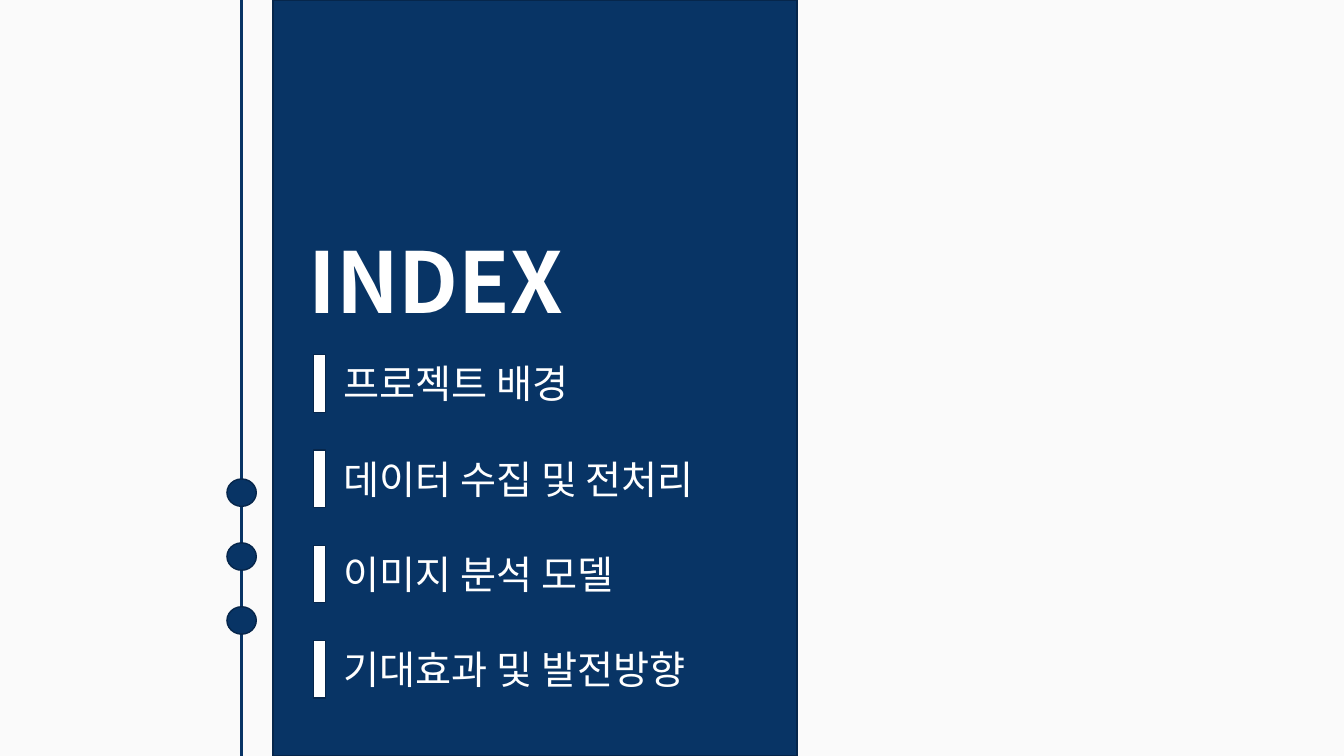
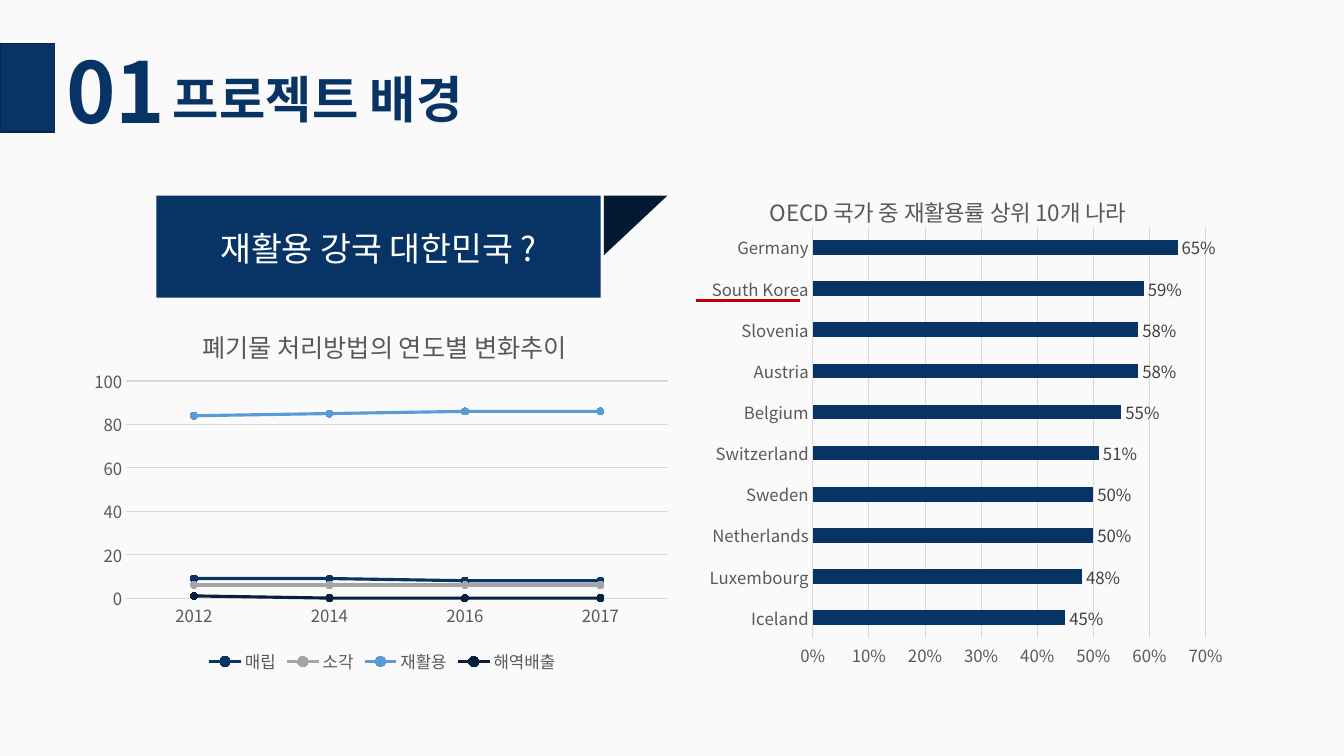
import pptx
import pptx.chart.data
import pptx.dml.color
import pptx.enum.chart
import pptx.enum.shapes
import pptx.enum.text
import pptx.oxml
import pptx.oxml.ns
import pptx.util
import lxml.etree

Cm = pptx.util.Cm
Pt = pptx.util.Pt
Rgb = pptx.dml.color.RGBColor.from_string
qn = pptx.oxml.ns.qn
Shape = pptx.enum.shapes.MSO_SHAPE
Chart = pptx.enum.chart
Align = pptx.enum.text.PP_ALIGN


class Theme:
    face = "Noto Sans CJK KR"
    page, white, navy, edge = "FAFAFA", "FFFFFF", "083465", "06264B"
    fold, red = "041A32", "C00000"
    gray, grid, label = "595959", "D9D9D9", "404040"
    lines = ["083465", "A5A5A5", "5B9BD5", "051F3D"]
    huge, head, item, lead = 60, 36, 28, 24
    trend, rank, small = 18, 16, 12


def style(font, size, color, bold=False):
    font.size, font.bold, font.name = Pt(size), bold, Theme.face
    font.color.rgb = Rgb(color)
    lxml.etree.SubElement(font._element, qn("a:ea")).set("typeface", Theme.face)


def block(shapes, kind, place, fill, edge=None):
    shape = shapes.add_shape(kind, *map(Cm, place))
    shape.shadow.inherit = False
    shape.fill.solid()
    shape.fill.fore_color.rgb = Rgb(fill)
    if edge:
        shape.line.color.rgb = Rgb(edge)
        shape.line.width = Pt(1)
    else:
        shape.line.fill.background()
    return shape


deck = pptx.Presentation()
deck.slide_width, deck.slide_height = Cm(33.87), Cm(19.05)
back = deck.slide_master.background.fill
back.solid()
back.fore_color.rgb = Rgb(Theme.page)
blank = deck.slide_layouts[6]
index = deck.slides.add_slide(blank).shapes
topic = deck.slides.add_slide(blank).shapes

block(index, Shape.RECTANGLE, (6.88, 0, 13.21, 19.05), Theme.navy, Theme.edge)
texts = [(index, (7.52, 5.66, 7.65, 2.82), "INDEX", Theme.huge, Theme.white, True, None)]
items = ["프로젝트 배경", "데이터 수집 및 전처리", "이미지 분석 모델", "기대효과 및 발전방향"]
for row, item in enumerate(items):
    top = 8.94 + 2.4 * row
    block(index, Shape.RECTANGLE, (7.9, top, 0.3, 1.45), Theme.white, Theme.edge)
    texts.append((index, (8.41, top, 11.1, 1.45), item, Theme.item, Theme.white, False, None))

rules = [
    (index, (6.08, 0, 6.08, 19.05), Theme.navy, 2),
    (topic, (17.53, 7.57, 20.17, 7.57), Theme.red, 2.25),
]

trend = pptx.chart.data.CategoryChartData()
trend.categories = ["2012", "2014", "2016", "2017"]
trend.add_series("매립", [9, 9, 8, 8])
trend.add_series("소각", [6, 6, 6, 6])
trend.add_series("재활용", [84, 85, 86, 86])
trend.add_series("해역배출", [1, 0, 0, 0])

rates = {
    "Iceland": 0.45, "Luxembourg": 0.48, "Netherlands": 0.5, "Sweden": 0.5,
    "Switzerland": 0.51, "Belgium": 0.55, "Austria": 0.58, "Slovenia": 0.58,
    "South Korea": 0.59, "Germany": 0.65,
}
rank = pptx.chart.data.CategoryChartData(number_format="0%")
rank.categories = list(rates)
rank.add_series("Series 1", list(rates.values()))

plans = [
    (Chart.XL_CHART_TYPE.LINE_MARKERS, (2.13, 7.49, 15.01, 9.6), trend,
     "폐기물 처리방법의 연도별 변화추이", Theme.trend, (0.19, 0.06),
     (0.07, 0.22, 0.91, 0.57), 100, 20, "General"),
    (Chart.XL_CHART_TYPE.BAR_CLUSTERED, (16.64, 4.22, 14.78, 13.64), rank,
     "OECD 국가 중 재활용률 상위 10개 나라", Theme.rank, (0.18, 0.04),
     (0.26, 0.11, 0.67, 0.76), 0.7, 0.1, "0%"),
]
charts = []
for kind, place, data, title, size, spot, plot, most, step, form in plans:
    chart = topic.add_chart(kind, *map(Cm, place), data).chart
    charts.append(chart)
    style(chart.font, Theme.small, Theme.gray)
    chart.has_legend = False
    chart.has_title = True
    para = chart.chart_title.text_frame.paragraphs[0]
    para.text = title
    style(para.font, size, Theme.gray)

    cats, vals = chart.category_axis, chart.value_axis
    for axis in (cats, vals):
        axis.major_tick_mark = axis.minor_tick_mark = Chart.XL_TICK_MARK.NONE
        style(axis.tick_labels.font, Theme.small, Theme.gray)
    cats.format.line.color.rgb = Rgb(Theme.grid)
    cats.format.line.width = Pt(0.75)
    vals.format.line.fill.background()
    vals.minimum_scale, vals.maximum_scale, vals.major_unit = 0, most, step
    vals.tick_labels.number_format = form
    vals.tick_labels.number_format_is_linked = False
    vals.has_major_gridlines = True
    vals.major_gridlines.format.line.color.rgb = Rgb(Theme.grid)
    vals.major_gridlines.format.line.width = Pt(0.75)
    chart.plots[0].vary_by_categories = False

    frame = chart._chartSpace.chart
    for node, slot, sizes in ((frame.find(qn("c:title")), 1, spot), (frame.plotArea, 0, plot)):
        for old in node.findall(qn("c:layout")):
            node.remove(old)
        layout = lxml.etree.Element(qn("c:layout"))
        node.insert(slot, layout)
        manual = lxml.etree.SubElement(layout, qn("c:manualLayout"))
        marks = [("xMode", "edge"), ("yMode", "edge")]
        if node is frame.plotArea:
            marks.insert(0, ("layoutTarget", "inner"))
        for tag, value in marks + list(zip("xywh", sizes)):
            lxml.etree.SubElement(manual, qn("c:" + tag)).set("val", str(value))

lines, bars = charts
lines.has_legend = True
lines.legend.position = Chart.XL_LEGEND_POSITION.BOTTOM
lines.legend.include_in_layout = False
style(lines.legend.font, Theme.small, Theme.gray)
for line, color in zip(lines.plots[0].series, Theme.lines):
    line.smooth = False
    line.format.line.color.rgb = Rgb(color)
    line.format.line.width = Pt(2.25)
    line.marker.style = Chart.XL_MARKER_STYLE.CIRCLE
    line.marker.size = 5
    line.marker.format.fill.solid()
    line.marker.format.fill.fore_color.rgb = Rgb(color)
    line.marker.format.line.color.rgb = Rgb(color)

plot = bars.plots[0]
plot.gap_width = 182
fill = plot.series[0].format.fill
fill.solid()
fill.fore_color.rgb = Rgb(Theme.navy)
plot.has_data_labels = True
labels = plot.data_labels
labels.show_value = True
labels.position = Chart.XL_LABEL_POSITION.OUTSIDE_END
labels.number_format, labels.number_format_is_linked = "0%", False
style(labels.font, Theme.small, Theme.label)

banner = topic.add_group_shape().shapes
block(banner, Shape.RECTANGLE, (3.94, 4.93, 11.2, 2.57), Theme.navy)
block(banner, Shape.RIGHT_TRIANGLE, (15.27, 4.88, 1.5, 1.6), Theme.fold).rotation = 90
block(topic, Shape.RECTANGLE, (0, 1.09, 1.37, 2.24), Theme.navy, Theme.edge)
texts += [
    (banner, (3.94, 5.61, 11.2, 1.27), "재활용 강국 대한민국 ?", Theme.lead, Theme.white, False, Align.CENTER),
    (topic, (4.11, 1.6, 11.56, 1.8), items[0], Theme.head, Theme.navy, True, None),
    (topic, (1.42, 0.86, 3.23, 2.82), "01", Theme.huge, Theme.navy, True, None),
]

for shapes, ends, color, width in rules:
    rule = shapes.add_connector(pptx.enum.shapes.MSO_CONNECTOR.STRAIGHT, *map(Cm, ends))
    rule.line.color.rgb = Rgb(color)
    rule.line.width = Pt(width)
    lxml.etree.SubElement(rule._element.spPr, qn("a:effectLst"))

for row in range(3):
    block(index, Shape.OVAL, (5.72, 12.07 + 1.61 * row, 0.74, 0.69), Theme.navy, Theme.edge)

for shapes, place, text, size, color, bold, align in texts:
    frame = shapes.add_textbox(*map(Cm, place)).text_frame
    frame.word_wrap = True
    frame.auto_size = pptx.enum.text.MSO_AUTO_SIZE.SHAPE_TO_FIT_TEXT
    para = frame.paragraphs[0]
    para.text, para.alignment = text, align
    style(para.font, size, color, bold)

deck.save("out.pptx")
